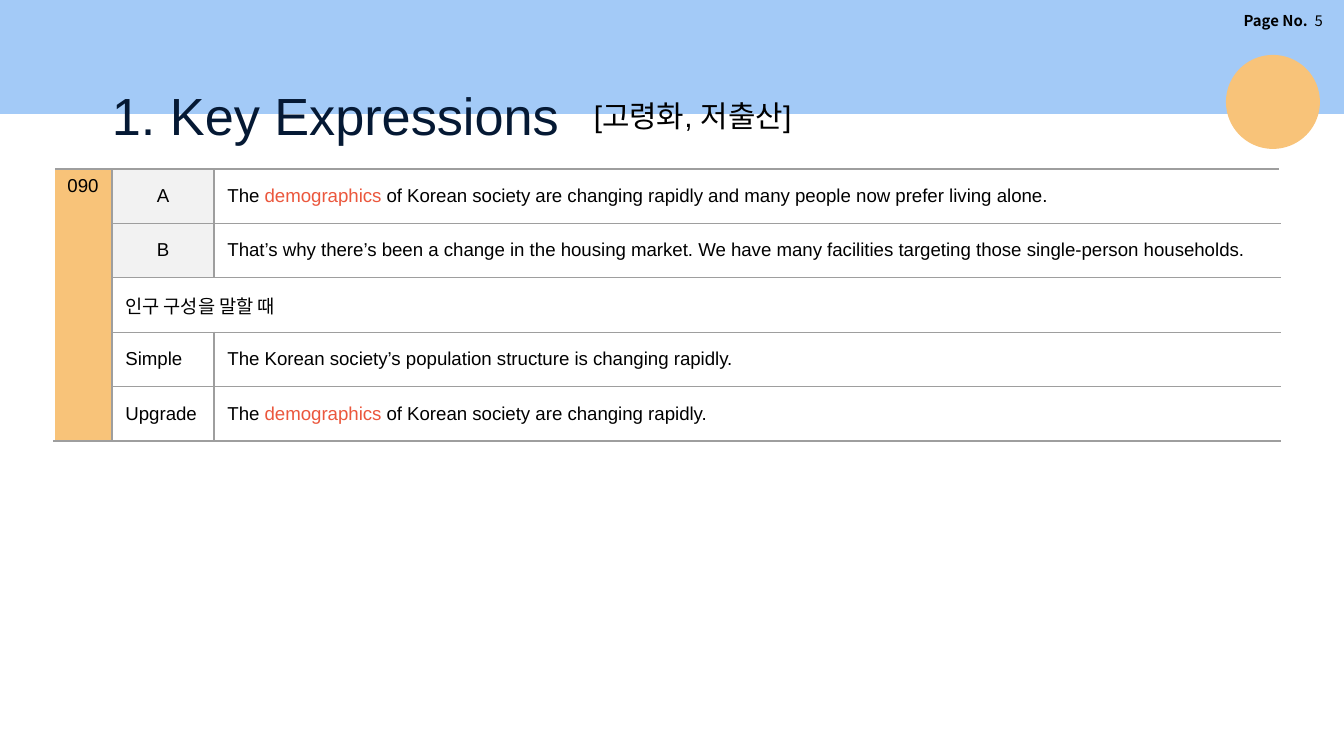
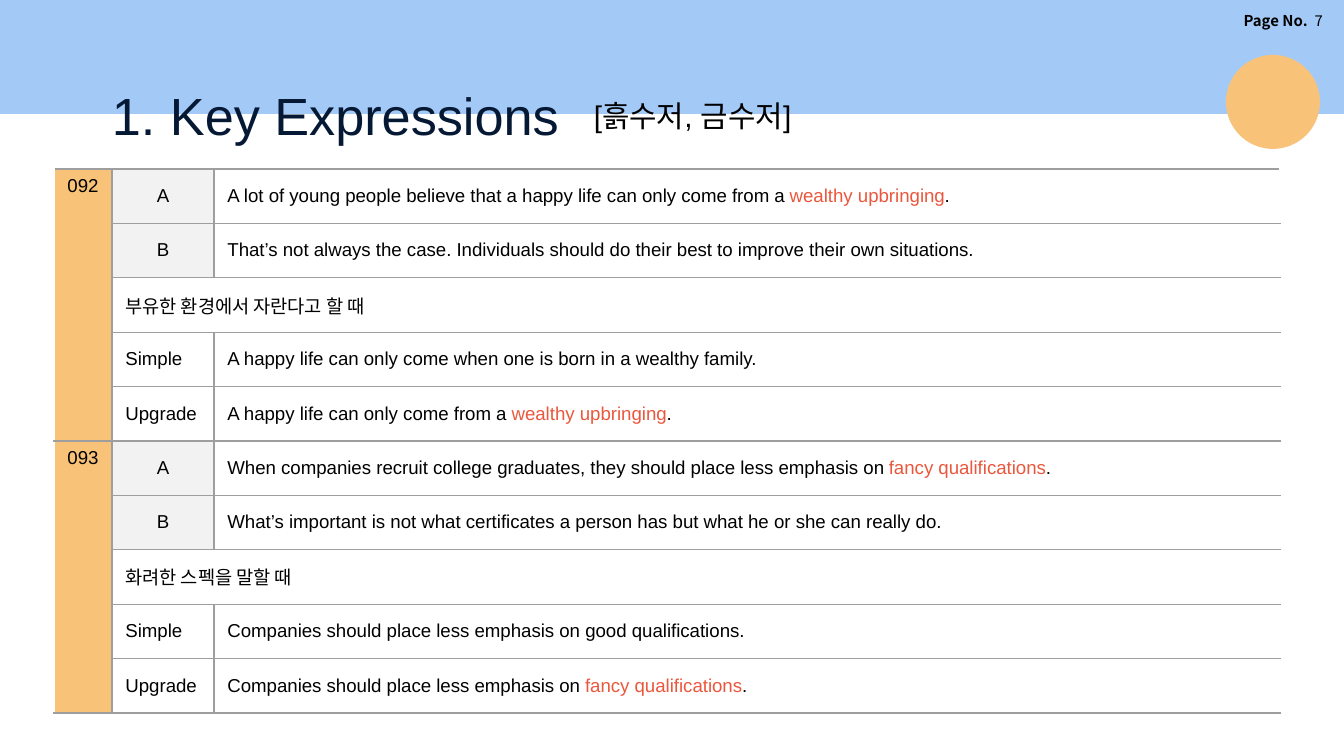
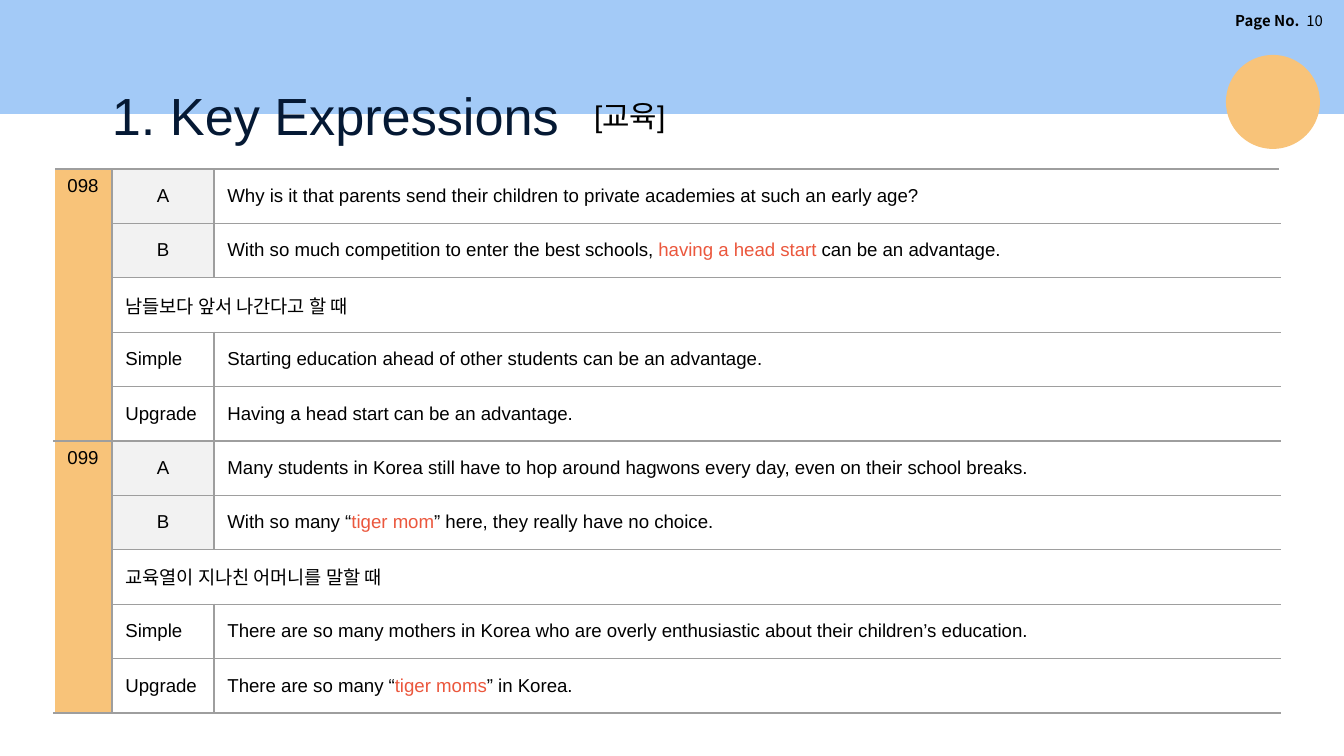
from lxml import etree
from pptx import Presentation
from pptx import util as u
from pptx.dml.color import RGBColor
from pptx.enum import shapes, text
from pptx.oxml import ns

BAND_BLUE = RGBColor(0xA3, 0xCA, 0xF7)
ORANGE = RGBColor(0xF8, 0xC3, 0x79)
NAVY = RGBColor(0x05, 0x19, 0x34)
CORAL = RGBColor(0xEB, 0x57, 0x3D)
SPEAKER_GRAY = RGBColor(0xF2, 0xF2, 0xF2)
RULE_GRAY = RGBColor(0x9E, 0x9E, 0x9E)
BLACK = RGBColor(0, 0, 0)
WHITE = RGBColor(0xFF, 0xFF, 0xFF)

LATIN_FONT = "Arial"
PAGE_FONT = "Noto Sans CJK KR"
COLUMNS = (58, 102, 1066)
ENTRY_HEIGHT = 272
ROW_LABELS = ("A", "B", None, "Simple", "Upgrade")
ROWS_PER_ENTRY = len(ROW_LABELS)

LESSONS = [
    ("5", "[고령화, 저출산]", 269, [
        ("090", (
            "The *demographics *of Korean society are changing rapidly and many people now prefer living alone.",
            "That’s why there’s been a change in the housing market. "
            "We have many facilities targeting those single-person households.",
            "인구 구성을 말할 때",
            "The Korean society’s population structure is changing rapidly.",
            "The *demographics* of Korean society are changing rapidly.")),
    ]),
    ("7", "[흙수저, 금수저]", 269, [
        ("092", (
            "A lot of young people believe that a happy life can only come from a *wealthy upbringing*.",
            "That’s not always the case. Individuals should do their best to improve their own situations.",
            "부유한 환경에서 자란다고 할 때",
            "A happy life can only come when one is born in a wealthy family.",
            "A happy life can only come from a *wealthy upbringing*.")),
        ("093", (
            "When companies recruit college graduates, they should place less emphasis on *fancy qualifications*.",
            "What’s important is not what certificates a person has but what he or she can really do.",
            "화려한 스펙을 말할 때",
            "Companies should place less emphasis on good qualifications.",
            "Companies should place less emphasis on *fancy qualifications*.")),
    ]),
    ("10", "[교육]", 328, [
        ("098", (
            "Why is it that parents send their children to private academies at such an early age?",
            "With so much competition to enter the best schools, *having a head start *can be an advantage.",
            "남들보다 앞서 나간다고 할 때",
            "Starting education ahead of other students can be an advantage.",
            "Having a head start can be an advantage.")),
        ("099", (
            "Many students in Korea still have to hop around hagwons every day, even on their school breaks.",
            "With so many “*tiger mom*” here, they really have no choice.",
            "교육열이 지나친 어머니를 말할 때",
            "There are so many mothers in Korea who are overly enthusiastic about their children’s education.",
            "There are so many “*tiger moms*” in Korea.")),
    ]),
]


def px(length):
    return u.Emu(round(length * 9144000 / 1344))


def write(paragraph, words, size=10, font=LATIN_FONT, color=BLACK, bold=False, align=None):
    if align is not None:
        paragraph.alignment = align
    for position, part in enumerate(words.split("*")):
        if part:
            run = paragraph.add_run()
            run.text = part
            run.font.size = u.Pt(size)
            run.font.name = font
            run.font.bold = bold
            run.font.color.rgb = CORAL if position % 2 else color


def add_label(slide, left, top, width, height, insets, anchor=text.MSO_ANCHOR.TOP):
    frame = slide.shapes.add_textbox(px(left), px(top), px(width), px(height)).text_frame
    frame.word_wrap = True
    frame.vertical_anchor = anchor
    frame.margin_left = frame.margin_right = px(insets[0])
    frame.margin_top, frame.margin_bottom = px(insets[1]), px(insets[2])
    return frame.paragraphs[0]


def add_plain_shape(slide, preset, left, top, width, height, color):
    shape = slide.shapes.add_shape(preset, px(left), px(top), px(width), px(height))
    shape.shadow.inherit = False
    shape.fill.solid()
    shape.fill.fore_color.rgb = color
    shape.line.fill.background()


def add_header(slide, page, topic, topic_width):
    add_plain_shape(slide, shapes.MSO_SHAPE.RECTANGLE, 0, 0, 1344, 114, BAND_BLUE)
    page_line = add_label(slide, 1140, 5, 195, 31, (12, 4, 4), text.MSO_ANCHOR.MIDDLE)
    write(page_line, "Page No.  ", size=8, font=PAGE_FONT, bold=True, align=text.PP_ALIGN.RIGHT)
    write(page_line, page, size=8, font=PAGE_FONT)
    title = add_label(slide, 99, 66, 481, 85, (13, 17, 9))
    write(title, "1. Key Expressions", size=28, color=NAVY)
    topic_line = add_label(slide, 581, 91, topic_width, 50, (13, 7, 7))
    write(topic_line, topic, size=16)
    add_plain_shape(slide, shapes.MSO_SHAPE.OVAL, 1226, 55, 94, 94, ORANGE)


def add_border(cell, side, color):
    width = u.Pt(1 if color == WHITE else 0.75)
    line = etree.SubElement(cell._tc.get_or_add_tcPr(), ns.qn(f"a:ln{side}"), w=str(width))
    fill = etree.SubElement(line, ns.qn("a:solidFill"))
    etree.SubElement(fill, ns.qn("a:srgbClr"), val=str(color))


def style_cell(cell, column, open_right, fill):
    add_border(cell, "L", WHITE if column == 0 else RULE_GRAY)
    add_border(cell, "R", WHITE if open_right else RULE_GRAY)
    add_border(cell, "T", RULE_GRAY)
    add_border(cell, "B", RULE_GRAY)
    if fill is None:
        cell.fill.background()
    else:
        cell.fill.solid()
        cell.fill.fore_color.rgb = fill
    if column > 0:
        cell.vertical_anchor = text.MSO_ANCHOR.MIDDLE


def fill_entry(table, first_row, number, sentences):
    for offset, (label, sentence) in enumerate(zip(ROW_LABELS, sentences)):
        row = first_row + offset
        spoken = label in ("A", "B")
        fills = (ORANGE, SPEAKER_GRAY if spoken else None, None)
        for column, fill in enumerate(fills):
            open_right = column == 2 or (column == 1 and label is None)
            style_cell(table.cell(row, column), column, open_right, fill)
        if label is None:
            table.cell(row, 1).merge(table.cell(row, 2))
        else:
            write(table.cell(row, 1).text_frame.paragraphs[0], label,
                  align=text.PP_ALIGN.CENTER if spoken else None)
        sentence_cell = table.cell(row, 1 if label is None else 2)
        write(sentence_cell.text_frame.paragraphs[0], sentence)
    number_cell = table.cell(first_row, 0)
    number_cell.merge(table.cell(first_row + ROWS_PER_ENTRY - 1, 0))
    write(number_cell.text_frame.paragraphs[0], number)


def add_expressions(slide, entries):
    table = slide.shapes.add_table(
        len(entries) * ROWS_PER_ENTRY, len(COLUMNS), px(54), px(169),
        px(sum(COLUMNS)), px(ENTRY_HEIGHT * len(entries))).table
    table.first_row = table.horz_banding = False
    for column, width in zip(table.columns, COLUMNS):
        column.width = px(width)
    for row in table.rows:
        row.height = px(ENTRY_HEIGHT / ROWS_PER_ENTRY)
    for position, (number, sentences) in enumerate(entries):
        fill_entry(table, position * ROWS_PER_ENTRY, number, sentences)


def main():
    deck = Presentation()
    deck.slide_width, deck.slide_height = px(1344), px(756)
    for page, topic, topic_width, entries in LESSONS:
        slide = deck.slides.add_slide(deck.slide_layouts[6])
        add_header(slide, page, topic, topic_width)
        add_expressions(slide, entries)
    deck.save("out.pptx")


if __name__ == "__main__":
    main()
